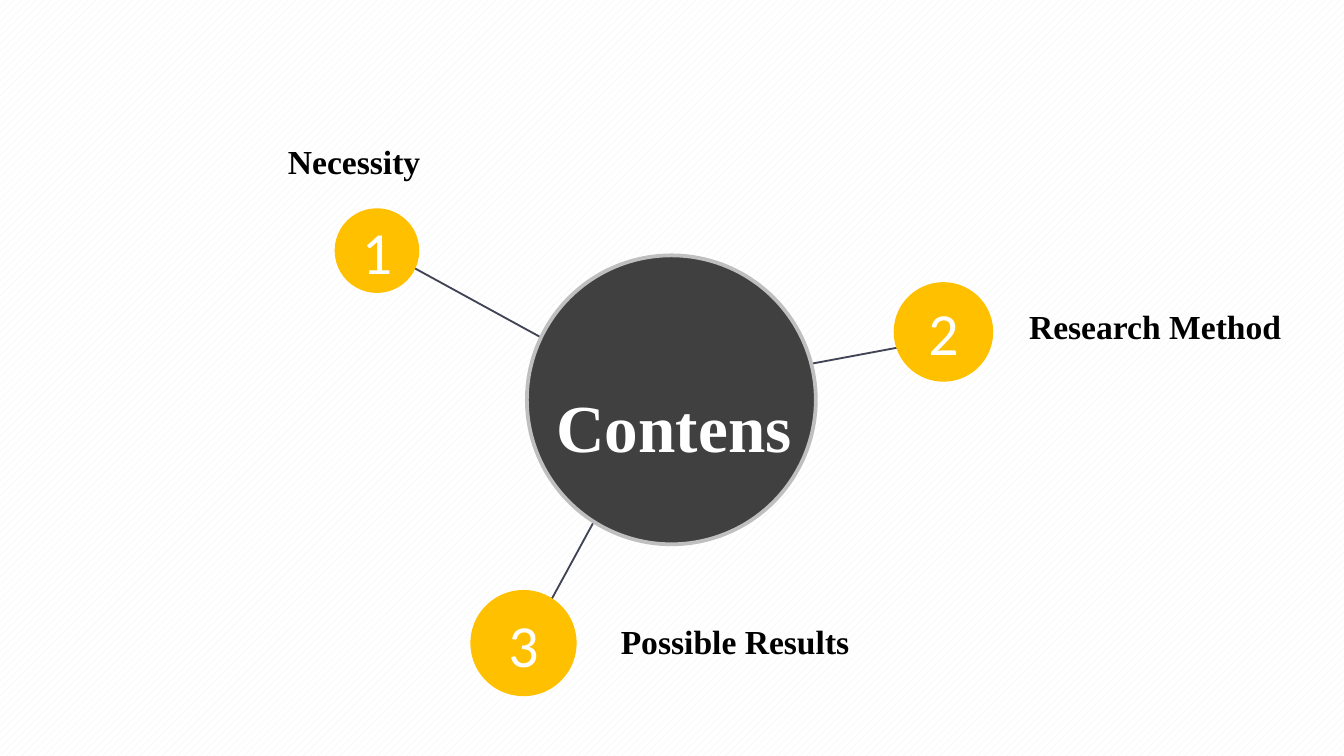
from lxml import etree
from pptx import Presentation
from pptx.dml.color import RGBColor as RGB
from pptx.enum.dml import MSO_PATTERN as PATTERN
from pptx.enum.shapes import MSO_CONNECTOR as CONNECTOR, MSO_SHAPE as SHAPE
from pptx.enum.text import MSO_ANCHOR as ANCHOR, MSO_AUTO_SIZE as AUTO, PP_ALIGN as ALIGN
from pptx.oxml.ns import qn
from pptx.util import Inches, Pt

COLORS = {k: RGB.from_string(v) for k, v in {
    "white": "FFFFFF", "stripe": "F2F2F2", "black": "000000", "amber": "FFC000",
    "hub": "404040", "rim": "BFBFBF", "spoke": "414455"}.items()}


def write(shape, text, font, size, color, bold=False):
    """Put one centred line of text in the middle of a shape."""
    tf = shape.text_frame
    tf.text = text
    tf.word_wrap = False
    tf.auto_size = AUTO.NONE
    tf.vertical_anchor = ANCHOR.MIDDLE
    tf.margin_left = tf.margin_right = 0
    p = tf.paragraphs[0]
    p.alignment = ALIGN.CENTER
    r = p.runs[0]
    r.font.name, r.font.size, r.font.bold = font, Pt(size), bold
    r.font.color.rgb = COLORS[color]


def add_circle(left, top, size, color):
    circle = s.shapes.add_shape(SHAPE.OVAL, Inches(left), Inches(top),
                                Inches(size), Inches(size))
    circle.shadow.inherit = False
    circle.fill.solid()
    circle.fill.fore_color.rgb = COLORS[color]
    circle.line.fill.background()
    return circle


# Widescreen 16:9 slide
prs = Presentation()
prs.slide_width = Inches(10)
prs.slide_height = Inches(10) * 9 // 16
s = prs.slides.add_slide(prs.slide_layouts[5])

# Striped background
bg = s.background.fill
bg.patterned()
bg.pattern = PATTERN.WIDE_UPWARD_DIAGONAL
bg.fore_color.rgb = COLORS["stripe"]
bg.back_color.rgb = COLORS["white"]

# Topics: name, label box, numbered circle (left, top, size), spoke ends
topics = [
    ("Necessity", (2.04, 1, 1.19, 0.4), (2.49, 1.55, 0.63), (4.17, 2.59, 3.02, 1.96)),
    ("Research Method", (7.55, 2.23, 2.09, 0.4), (6.65, 2.1, 0.74), (5.43, 2.82, 7.09, 2.51)),
    ("Possible Results", (4.52, 4.57, 1.9, 0.4), (3.5, 4.39, 0.79), (4.61, 3.53, 4, 4.65)),
]
for number, (name, box, disc, ends) in enumerate(topics, 1):
    spoke = s.shapes.add_connector(CONNECTOR.STRAIGHT, *map(Inches, ends))
    spoke.line.color.rgb = COLORS["spoke"]
    spoke.line.width = Pt(1)
    etree.SubElement(spoke.element.spPr, qn("a:effectLst"))

    write(add_circle(*disc, "amber"), str(number), "Calibri", 32, "white")
    label = s.shapes.add_textbox(*map(Inches, box))
    write(label, name, "Times New Roman", 18, "black", bold=True)

# Central hub
hub = add_circle(3.92, 1.9, 2.15, "hub")
hub.line.color.rgb = COLORS["rim"]
hub.line.width = Pt(2)

# Title, brought in front of the hub
title = s.shapes.title
title.left, title.top = Inches(4.04), Inches(2.81)
title.width, title.height = Inches(1.95), Inches(0.71)
write(title, "Contens", "Times New Roman", 36, "white", bold=True)
hub.element.addnext(title.element)

prs.save("out.pptx")
